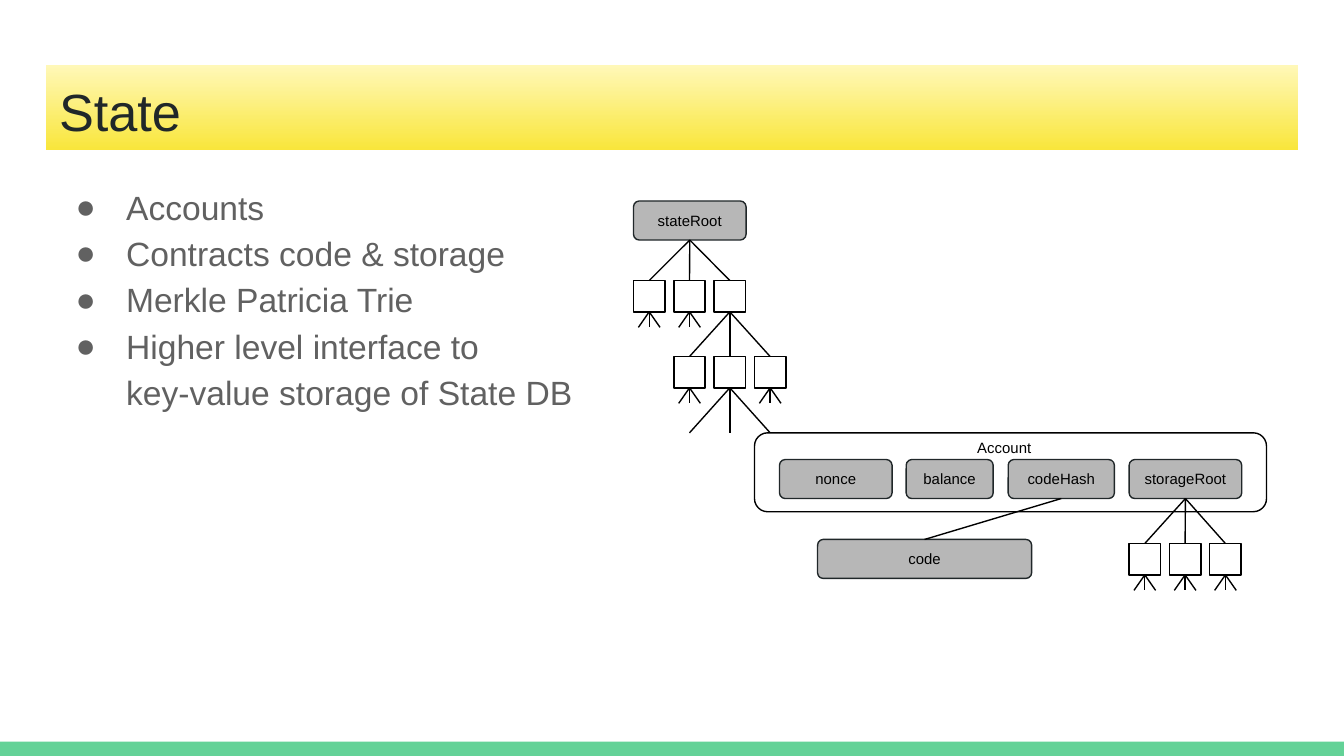
"""Build the State slide: bullets beside a trie that leads to an account record."""
from dataclasses import dataclass

from lxml.etree import SubElement
from pptx import Presentation
from pptx.dml.color import RGBColor
from pptx.enum.shapes import MSO_CONNECTOR, MSO_SHAPE
from pptx.enum.text import MSO_ANCHOR, MSO_AUTO_SIZE, PP_ALIGN
from pptx.oxml.ns import qn
from pptx.shapes.autoshape import Shape
from pptx.shapes.connector import Connector
from pptx.slide import Slide
from pptx.util import Pt

COLORS = {
    "green": "63D297",
    "pale_yellow": "FFF8B8",
    "yellow": "F9E63B",
    "dark": "202729",
    "body": "616161",
    "gray": "B7B7B7",
    "white": "FFFFFF",
    "black": "000000",
}
FONT = "Arial"
INSET = 7.2
LINE_WIDTH = 0.75
LABEL_HEIGHT = 20.9
NODE_SIZE = 16.8
NODE_PITCH = 21.6
TWIG_SPREAD = 5.8
TWIG_DROP = 8.3
ACCOUNT_TOP = 231.9
FIELD_TOP = 246.2
TOP, BOTTOM = 0, 2
BULLETS = [
    "Accounts",
    "Contracts code & storage",
    "Merkle Patricia Trie",
    "Higher level interface to \vkey-value storage of State DB",
]


@dataclass(frozen=True)
class Label:
    """A rounded gray box with its name."""

    text: str
    left: float
    top: float
    width: float


STATE_ROOT = Label("stateRoot", 339.4, 107.7, 60.3)
FIELDS = [
    Label("nonce", 417.6, FIELD_TOP, 60.3),
    Label("balance", 485.5, FIELD_TOP, 46.6),
    Label("codeHash", 540.1, FIELD_TOP, 56.9),
    Label("storageRoot", 604.9, FIELD_TOP, 60.3),
]
CODE = Label("code", 438, 289, 114.7)


def rgb(name: str) -> RGBColor:
    """Return a palette colour."""
    return RGBColor.from_string(COLORS[name])


def write(box: Shape, text: str, *, size: float, color: str = "black",
          align: PP_ALIGN = PP_ALIGN.LEFT, anchor: MSO_ANCHOR = MSO_ANCHOR.TOP,
          spacing: float = 1.0, bullet: str = "") -> None:
    """Fill a box with one paragraph per line of text."""
    frame = box.text_frame
    frame.text = text
    frame.word_wrap = True
    frame.auto_size = MSO_AUTO_SIZE.NONE
    frame.vertical_anchor = anchor
    frame.margin_left = frame.margin_right = Pt(INSET)
    frame.margin_top = frame.margin_bottom = Pt(INSET)
    for paragraph in frame.paragraphs:
        paragraph.alignment = align
        paragraph.line_spacing = spacing
        if bullet:
            add_bullet(paragraph, bullet, color)
        for span in paragraph.runs:
            span.font.name = FONT
            span.font.size = Pt(size)
            span.font.color.rgb = rgb(color)


def add_bullet(paragraph, character: str, color: str) -> None:
    """Give a paragraph a hanging bullet."""
    properties = paragraph._p.get_or_add_pPr()
    properties.set("marL", str(Pt(36)))
    properties.set("indent", str(Pt(-27)))
    bullet_color = SubElement(properties, qn("a:buClr"))
    SubElement(bullet_color, qn("a:srgbClr"), val=COLORS[color])
    SubElement(properties, qn("a:buFont"), typeface=FONT)
    SubElement(properties, qn("a:buChar"), char=character)


def add_box(page: Slide, left: float, top: float, width: float, height: float, *,
            fill: str, line: str = "", rounding: float = 0) -> Shape:
    """Draw a plain or rounded rectangle."""
    kind = MSO_SHAPE.ROUNDED_RECTANGLE if rounding else MSO_SHAPE.RECTANGLE
    box = page.shapes.add_shape(kind, Pt(left), Pt(top), Pt(width), Pt(height))
    box.shadow.inherit = False
    box.fill.solid()
    box.fill.fore_color.rgb = rgb(fill)
    if rounding:
        box.adjustments[0] = rounding
    if line:
        box.line.color.rgb = rgb(line)
        box.line.width = Pt(LINE_WIDTH)
    else:
        box.line.fill.background()
    return box


def add_text_box(page: Slide, left: float, top: float, width: float, height: float,
                 text: str, **text_format) -> None:
    """Place formatted text on the page."""
    box = page.shapes.add_textbox(Pt(left), Pt(top), Pt(width), Pt(height))
    write(box, text, **text_format)


def add_label(page: Slide, label: Label) -> Shape:
    """Draw a named gray box."""
    box = add_box(page, label.left, label.top, label.width, LABEL_HEIGHT,
                  fill="gray", line="dark", rounding=0.146)
    write(box, label.text, size=8, align=PP_ALIGN.CENTER, anchor=MSO_ANCHOR.MIDDLE)
    return box


def add_line_below(page: Slide, parent: Shape, across: float, down: float) -> Connector:
    """Draw a line from a box's bottom middle to an offset from there."""
    x = parent.left + parent.width // 2
    y = parent.top + parent.height
    line = page.shapes.add_connector(
        MSO_CONNECTOR.STRAIGHT, x, y, x + Pt(across), y + Pt(down))
    line.begin_connect(parent, BOTTOM)
    line.line.color.rgb = rgb("black")
    line.line.width = Pt(LINE_WIDTH)
    SubElement(line._element.spPr, qn("a:effectLst"))
    return line


def join(page: Slide, parent: Shape, child: Shape) -> None:
    """Join a box's bottom to the top of another."""
    add_line_below(page, parent, 0, 0).end_connect(child, TOP)


def add_fan(page: Slide, parent: Shape, spread: float, drop: float) -> None:
    """Draw three open lines below a box."""
    for step in (-1, 0, 1):
        add_line_below(page, parent, step * spread, drop)


def add_children(page: Slide, parent: Shape, left: float, top: float) -> list[Shape]:
    """Draw three trie nodes joined to their parent."""
    nodes = [add_box(page, left + column * NODE_PITCH, top, NODE_SIZE, NODE_SIZE,
                     fill="white", line="black") for column in range(3)]
    for node in nodes:
        join(page, parent, node)
    return nodes


def add_title(page: Slide, text: str) -> None:
    """Format the title placeholder as a yellow band."""
    title = page.shapes.title
    title.left, title.top, title.width, title.height = Pt(24.5), Pt(35), Pt(671), Pt(45.4)
    title.fill.gradient()
    title.fill.gradient_angle = 270
    for stop, color in zip(title.fill.gradient_stops, ("pale_yellow", "yellow")):
        stop.color.rgb = rgb(color)
    write(title, text, size=28, color="dark")


def main() -> None:
    """Build and save the deck."""
    deck = Presentation()
    deck.slide_width, deck.slide_height = Pt(720), Pt(405)
    page = deck.slides.add_slide(deck.slide_layouts[5])
    add_title(page, "State")
    add_box(page, 0, 397.4, 720, 7.6, fill="green")
    add_text_box(page, 24.5, 89.6, 671, 269, "\n".join(BULLETS),
                 size=18, color="body", spacing=1.15, bullet="●")

    state_root = add_label(page, STATE_ROOT)
    upper = add_children(page, state_root, STATE_ROOT.left, 150.3)
    lower = add_children(page, upper[2], STATE_ROOT.left + NODE_PITCH, 191)
    add_fan(page, lower[1], NODE_PITCH, ACCOUNT_TOP - 191 - NODE_SIZE)

    add_box(page, 404.2, ACCOUNT_TOP, 274.3, 42.3,
            fill="white", line="black", rounding=0.167)
    fields = {field.text: add_label(page, field) for field in FIELDS}
    add_text_box(page, 516.4, 227.5, 49.7, 24, "Account", size=8)
    join(page, fields["codeHash"], add_label(page, CODE))
    storage = add_children(page, fields["storageRoot"], FIELDS[-1].left, 291.2)

    for node in (*upper[:2], lower[0], lower[2], *storage):
        add_fan(page, node, TWIG_SPREAD, TWIG_DROP)
    deck.save("out.pptx")


if __name__ == "__main__":
    main()
